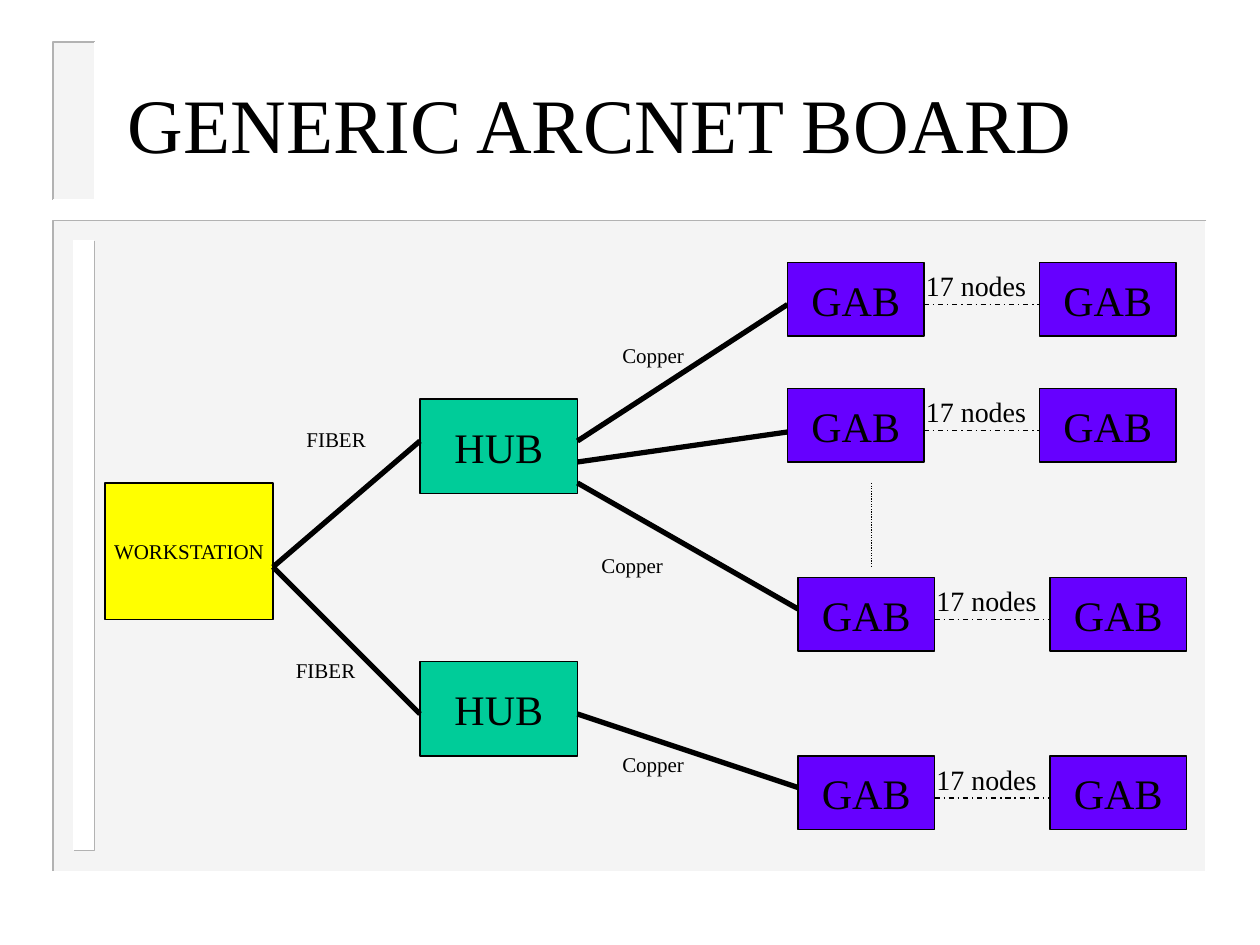
from typing import NamedTuple, Optional

from pptx import Presentation
from pptx import util as u
from pptx.dml.color import RGBColor
from pptx.enum import dml, shapes, text
from pptx.oxml import ns, xmlchemy
from pptx.slide import Slide

COLORS = {
    "ink": "000000",
    "white": "FFFFFF",
    "panel": "EAEAEA",
    "edge": "B2B2B2",
    "workstation": "FFFF00",
    "hub": "00CC99",
    "gab": "6600FF",
}
FONT = "Times New Roman"
GAB_WIDTH, GAB_HEIGHT, GAB_PITCH = 78, 42, 144


class Panel(NamedTuple):
    left: float
    top: float
    width: float
    height: float
    fill: str
    alpha: int
    upper_edge: str
    lower_edge: str


class Device(NamedTuple):
    name: str
    kind: str
    left: float
    top: float
    width: float
    height: float
    size: float = 24


class Label(NamedTuple):
    words: str
    left: float
    top: float
    width: float
    height: float
    size: float
    wrap: bool = True
    anchor: text.MSO_ANCHOR = text.MSO_ANCHOR.TOP


class Cable(NamedTuple):
    x1: float
    y1: float
    x2: float
    y2: float
    weight: float = 3
    dash: Optional[dml.MSO_LINE] = None


class GabRow(NamedTuple):
    left: float
    top: float


PANELS = [
    Panel(30.4, 126, 658.8, 372, "panel", 50, "edge", "white"),
    Panel(42, 137.5, 12, 348.5, "white", 100, "white", "edge"),
    Panel(30.4, 24, 24, 90, "panel", 50, "edge", "white"),
]
DEVICES = [
    Device("WORKSTATION", "workstation", 60, 276, 96, 78, 12),
    Device("HUB", "hub", 240, 228, 90, 54),
    Device("HUB", "hub", 240, 378, 90, 54),
]
CABLES = [
    Cable(156, 324, 240, 252),
    Cable(156, 324, 240, 408),
    Cable(330, 252, 450, 174),
    Cable(330, 264, 456, 246),
    Cable(330, 276, 456, 348),
    Cable(330, 408, 456, 450),
    Cable(498, 276, 498, 324, 0.75, dml.MSO_LINE.ROUND_DOT),
]
LABELS = [
    Label("GENERIC ARCNET BOARD", 66, 26.6, 612, 87, 44, anchor=text.MSO_ANCHOR.MIDDLE),
    Label("FIBER", 168, 240, 66, 21.6, 12),
    Label("FIBER", 162, 372, 66, 21.6, 12),
    Label("Copper", 348.5, 192, 49.7, 21.6, 12, wrap=False),
    Label("Copper", 336.5, 312, 49.7, 21.6, 12, wrap=False),
    Label("Copper", 348.5, 426, 49.7, 21.6, 12, wrap=False),
]
GAB_ROWS = [GabRow(450, 150), GabRow(450, 222), GabRow(456, 330), GabRow(456, 432)]


def rgb(name: str) -> RGBColor:
    return RGBColor.from_string(COLORS[name])


def add_rectangle(page: Slide, left: float, top: float, width: float, height: float, fill: str):
    box = page.shapes.add_shape(
        shapes.MSO_SHAPE.RECTANGLE, u.Pt(left), u.Pt(top), u.Pt(width), u.Pt(height)
    )
    box.shadow.inherit = False
    box.fill.solid()
    box.fill.fore_color.rgb = rgb(fill)
    return box


def write(box, words: str, size: float, wrap: bool, anchor: text.MSO_ANCHOR, align: text.PP_ALIGN) -> None:
    frame = box.text_frame
    frame.word_wrap = wrap
    frame.vertical_anchor = anchor
    para = frame.paragraphs[0]
    para.alignment = align
    span = para.add_run()
    span.text = words
    span.font.name = FONT
    span.font.size = u.Pt(size)
    span.font.color.rgb = rgb("ink")


def draw_edge(page: Slide, points: list[tuple[float, float]], color: str) -> None:
    start, *rest = [(u.Pt(x), u.Pt(y)) for x, y in points]
    builder = page.shapes.build_freeform(*start)
    builder.add_line_segments(rest, close=False)
    edge = builder.convert_to_shape()
    edge.shadow.inherit = False
    edge.fill.background()
    edge.line.color.rgb = rgb(color)
    edge.line.width = u.Pt(1)


def draw_panel(page: Slide, panel: Panel) -> None:
    box = add_rectangle(page, panel.left, panel.top, panel.width, panel.height, panel.fill)
    box.line.fill.background()
    if panel.alpha < 100:
        alpha = xmlchemy.OxmlElement("a:alpha")
        alpha.set("val", str(panel.alpha * 1000))
        box.element.spPr.find(".//" + ns.qn("a:srgbClr")).append(alpha)
    right, bottom = panel.left + panel.width, panel.top + panel.height
    upper_right, lower_left = (right, panel.top), (panel.left, bottom)
    draw_edge(page, [upper_right, (panel.left, panel.top), lower_left], panel.upper_edge)
    draw_edge(page, [upper_right, (right, bottom), lower_left], panel.lower_edge)


def draw_device(page: Slide, device: Device) -> None:
    box = add_rectangle(page, device.left, device.top, device.width, device.height, device.kind)
    box.line.color.rgb = rgb("ink")
    box.line.width = u.Pt(0.75)
    write(box, device.name, device.size, False, text.MSO_ANCHOR.MIDDLE, text.PP_ALIGN.CENTER)


def draw_label(page: Slide, label: Label) -> None:
    box = page.shapes.add_textbox(
        u.Pt(label.left), u.Pt(label.top), u.Pt(label.width), u.Pt(label.height)
    )
    write(box, label.words, label.size, label.wrap, label.anchor, text.PP_ALIGN.LEFT)


def draw_cable(page: Slide, cable: Cable) -> None:
    line = page.shapes.add_connector(
        shapes.MSO_CONNECTOR.STRAIGHT,
        u.Pt(cable.x1), u.Pt(cable.y1), u.Pt(cable.x2), u.Pt(cable.y2),
    )
    line.line.color.rgb = rgb("ink")
    line.line.width = u.Pt(cable.weight)
    if cable.dash is not None:
        line.line.dash_style = cable.dash
    line.element.spPr.append(xmlchemy.OxmlElement("a:effectLst"))


def draw_gab_row(page: Slide, row: GabRow) -> None:
    far_left = row.left + GAB_PITCH
    for left in (row.left, far_left):
        draw_device(page, Device("GAB", "gab", left, row.top, GAB_WIDTH, GAB_HEIGHT))
    link_y = row.top + 24
    draw_cable(page, Cable(row.left + GAB_WIDTH, link_y, far_left, link_y, 0.75, dml.MSO_LINE.DASH_DOT))
    draw_label(page, Label("17 nodes", row.left + 72, row.top, 126, 26.6, 16))


def main() -> None:
    deck = Presentation()
    deck.slide_width, deck.slide_height = u.Pt(720), u.Pt(540)
    page = deck.slides.add_slide(deck.slide_layouts[6])
    for draw, items in (
        (draw_panel, PANELS),
        (draw_device, DEVICES),
        (draw_cable, CABLES),
        (draw_label, LABELS),
        (draw_gab_row, GAB_ROWS),
    ):
        for item in items:
            draw(page, item)
    deck.save("out.pptx")


if __name__ == "__main__":
    main()
